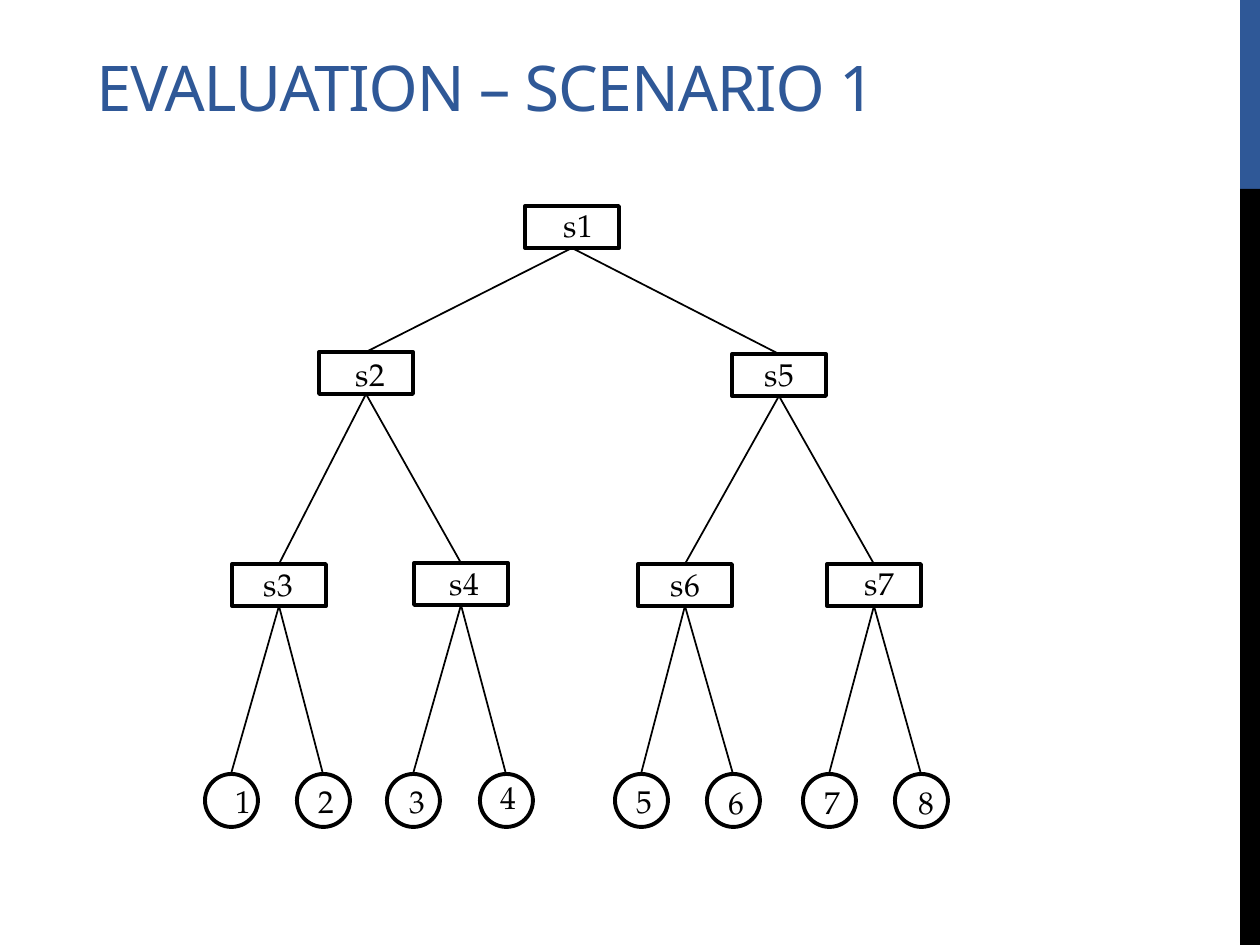
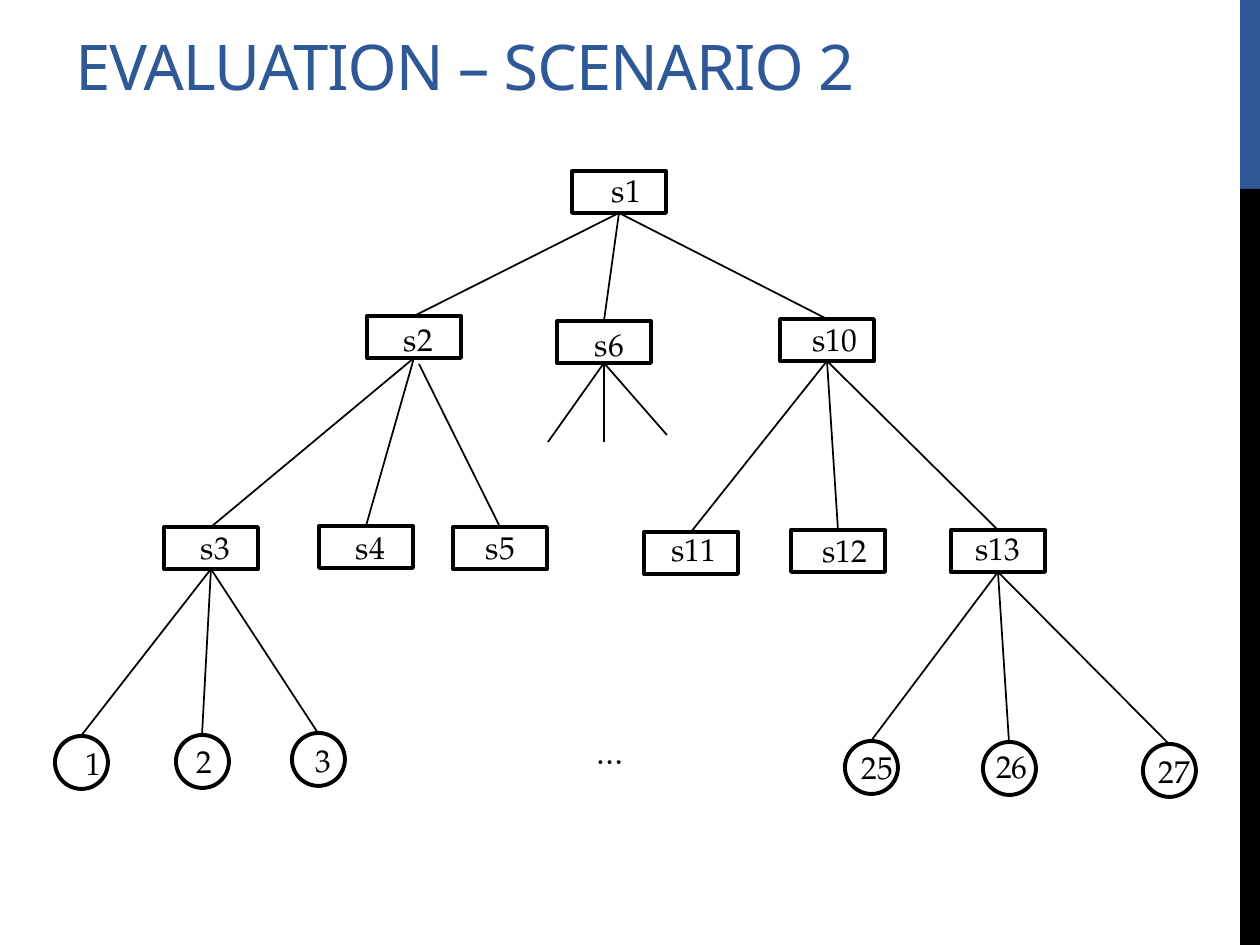
import dataclasses

import lxml.etree
import pptx
import pptx.dml.color
import pptx.enum.shapes
import pptx.enum.text
import pptx.oxml.ns
import pptx.util

PX = 914400 / 126
SLIDE_W, SLIDE_H = 1260, 945
BLUE, BLACK, WHITE = "2F5897", "000000", "FFFFFF"
TITLE_FONT, LABEL_FONT = "Noto Sans", "TeX Gyre Pagella"
BAND_W, BAND_SPLIT = 20, 189
SWITCH_W, SWITCH_H, HOST_D = 94, 42, 53
LABEL_H = 50
SHAPES = pptx.enum.shapes.MSO_SHAPE


@dataclasses.dataclass
class Node:
    """A tree node; x and y are relative to the tree, label to the node."""
    name: str
    parent: str
    x: int
    y: int
    label: tuple  # dx, dy, width
    link_shift: tuple = (0, 0)

    @property
    def is_host(self):
        return self.name.isdigit()

    @property
    def size(self):
        return (HOST_D, HOST_D) if self.is_host else (SWITCH_W, SWITCH_H)

    @property
    def top(self):
        return self.x + self.size[0] // 2, self.y

    @property
    def bottom(self):
        return self.x + self.size[0] // 2, self.y + self.size[1]


SCENARIO_1 = [
    Node("s1", "", 320, 0, (22, -6, 63)),
    Node("s2", "s1", 114, 146, (20, -3, 63)),
    Node("s5", "s1", 527, 148, (16, -5, 63)),
    Node("s3", "s2", 27, 358, (15, -5, 63)),
    Node("s4", "s2", 209, 357, (19, -5, 63)),
    Node("s6", "s5", 433, 358, (16, -5, 63)),
    Node("s7", "s5", 622, 358, (21, -6, 63)),
    Node("1", "s3", 0, 568, (7, 2, 63)),
    Node("2", "s3", 92, 568, (6, 2, 47)),
    Node("3", "s4", 182, 568, (7, 2, 47)),
    Node("4", "s4", 275, 568, (5, -2, 47)),
    Node("5", "s6", 410, 568, (6, 2, 47)),
    Node("6", "s6", 502, 568, (6, 3, 47)),
    Node("7", "s7", 598, 568, (6, 3, 47)),
    Node("8", "s7", 690, 568, (8, 3, 47)),
]
SCENARIO_2 = [
    Node("s1", "", 517, 0, (23, -6, 63)),
    Node("s2", "s1", 312, 145, (20, -2, 63)),
    Node("s6", "s1", 502, 150, (21, -2, 63)),
    Node("s10", "s1", 725, 148, (16, -5, 78)),
    Node("s3", "s2", 109, 356, (20, -5, 63)),
    Node("s4", "s2", 264, 355, (20, -4, 63)),
    Node("s5", "s2", 398, 356, (16, -5, 63), link_shift=(5, 6)),
    Node("s11", "s10", 589, 361, (11, -8, 78)),
    Node("s12", "s10", 736, 359, (15, -5, 77)),
    Node("s13", "s10", 896, 359, (10, -7, 74)),
    Node("1", "s3", 0, 565, (7, 2, 63)),
    Node("2", "s3", 121, 564, (5, 1, 47)),
    Node("3", "s3", 237, 562, (8, 2, 47)),
    Node("25", "s13", 790, 570, (-2, 1, 69)),
    Node("26", "s13", 928, 571, (0, -1, 58)),
    Node("27", "s13", 1088, 573, (0, 2, 63)),
]
# Ends of the open links below s6, relative to the tree.
S6_STUBS = [(493, 271), (549, 271), (612, 264)]


def emu(*lengths):
    return [pptx.util.Emu(round(v * PX)) for v in lengths]


def rgb(value):
    return pptx.dml.color.RGBColor.from_string(value)


def add_text(slide, box, text, *, font=LABEL_FONT, size=18, color=BLACK,
             align="CENTER", spacing=None):
    tf = slide.shapes.add_textbox(*emu(*box)).text_frame
    tf.word_wrap = True
    p = tf.paragraphs[0]
    p.alignment = getattr(pptx.enum.text.PP_ALIGN, align)
    r = p.add_run()
    r.text = text
    r.font.name, r.font.size = font, pptx.util.Pt(size)
    r.font.color.rgb = rgb(color)
    if spacing is not None:
        r.font._element.set("spc", str(round(spacing * 100)))


def add_box(slide, kind, box, fill, line=None):
    sp = slide.shapes.add_shape(kind, *emu(*box))
    sp.shadow.inherit = False
    sp.fill.solid()
    sp.fill.fore_color.rgb = rgb(fill)
    if line:
        sp.line.color.rgb = rgb(line)
        sp.line.width = pptx.util.Pt(2.25)
    else:
        sp.line.fill.background()


def add_link(slide, start, end):
    cxn = slide.shapes.add_connector(
        pptx.enum.shapes.MSO_CONNECTOR.STRAIGHT, *emu(*start, *end))
    cxn.line.color.rgb = rgb(BLACK)
    cxn.line.width = pptx.util.Pt(1)
    lxml.etree.SubElement(cxn._element.spPr, pptx.oxml.ns.qn("a:effectLst"))


def add_side_band(slide, left, top, width, height):
    rect = SHAPES.RECTANGLE
    add_box(slide, rect, (left, top, width, BAND_SPLIT), BLUE)
    add_box(slide, rect, (left, top + BAND_SPLIT, width, height - BAND_SPLIT), BLACK)


def add_tree(slide, left, top, nodes, stubs_from=None, stubs=()):
    """Draw nodes, then links, then labels, from the given corner."""
    def at(point, shift=(0, 0)):
        return left + point[0] + shift[0], top + point[1] + shift[1]

    by_name = {node.name: node for node in nodes}
    for node in nodes:
        kind = SHAPES.OVAL if node.is_host else SHAPES.RECTANGLE
        add_box(slide, kind, (*at((node.x, node.y)), *node.size), WHITE, BLACK)
    for node in nodes:
        if node.parent:
            start = by_name[node.parent].bottom
            add_link(slide, at(start, node.link_shift), at(node.top))
    for end in stubs:
        add_link(slide, at(by_name[stubs_from].bottom), at(end))
    for node in nodes:
        dx, dy, width = node.label
        add_text(slide, (*at((node.x, node.y), (dx, dy)), width, LABEL_H), node.name)


def add_scenario_slide(prs, title, title_corner):
    slide = prs.slides.add_slide(prs.slide_layouts[6])
    add_side_band(slide, SLIDE_W - BAND_W, 0, BAND_W, SLIDE_H)
    add_text(slide, (*title_corner, 850, 189), title, font=TITLE_FONT, size=36,
             color=BLUE, align="LEFT", spacing=-0.6)
    return slide


def main():
    prs = pptx.Presentation()
    prs.slide_width, prs.slide_height = emu(SLIDE_W, SLIDE_H)

    slide = add_scenario_slide(prs, "EVALUATION – SCENARIO 1", (84, 42))
    add_tree(slide, 205, 206, SCENARIO_1)

    slide = add_scenario_slide(prs, "EVALUATION – SCENARIO 2", (63, 21))
    add_tree(slide, 55, 171, SCENARIO_2, stubs_from="s6", stubs=S6_STUBS)
    add_text(slide, (576, 727, 69, LABEL_H), "…")

    prs.save("out.pptx")


if __name__ == "__main__":
    main()
